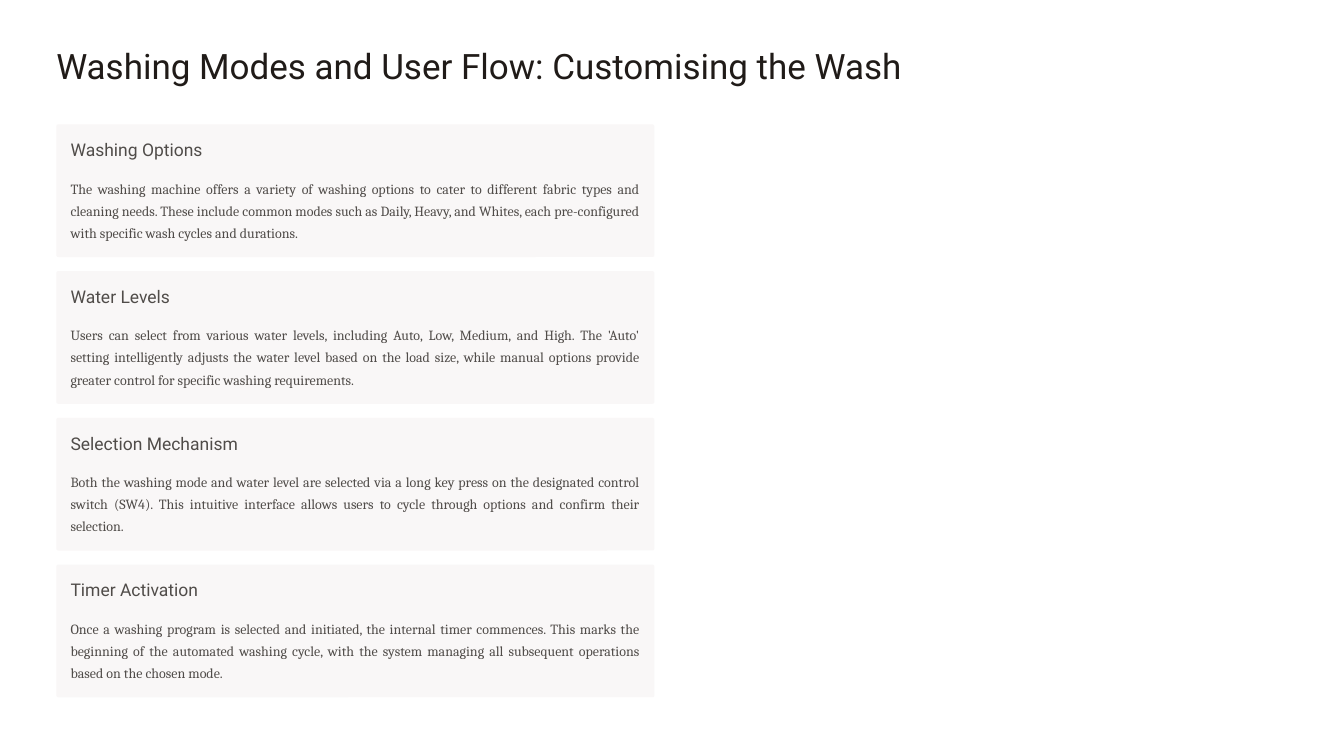
from pptx import Presentation
from pptx.dml.color import RGBColor
from pptx.enum.shapes import MSO_SHAPE
from pptx.enum.text import PP_ALIGN
from pptx.util import Inches, Pt

TITLE = "Washing Modes and User Flow: Customising the Wash"
CARDS = [
    ("Washing Options",
     "The washing machine offers a variety of washing options to cater to different fabric types "
     "and cleaning needs. These include common modes such as Daily, Heavy, and Whites, each "
     "pre-configured with specific wash cycles and durations."),
    ("Water Levels",
     "Users can select from various water levels, including Auto, Low, Medium, and High. The 'Auto' "
     "setting intelligently adjusts the water level based on the load size, while manual options "
     "provide greater control for specific washing requirements."),
    ("Selection Mechanism",
     "Both the washing mode and water level are selected via a long key press on the designated "
     "control switch (SW4). This intuitive interface allows users to cycle through options and "
     "confirm their selection."),
    ("Timer Activation",
     "Once a washing program is selected and initiated, the internal timer commences. This marks "
     "the beginning of the automated washing cycle, with the system managing all subsequent "
     "operations based on the chosen mode."),
]

# Font, size, line spacing, colour
TITLE_STYLE = ("Roboto", 30, 37.5, "201B18")
HEADING_STYLE = ("Roboto", 15, 18.5, "504C49")
BODY_STYLE = ("Cambria", 12, 19, "504C49")
CARD_FILL = "F9F7F7"

SLIDE_WIDTH, SLIDE_HEIGHT = 16, 9
MARGIN = 0.67
CARD_TOP, CARD_WIDTH, CARD_HEIGHT = 1.48, 7.12, 1.58
CARD_STEP = 1.747
PADDING = 0.17
HEADING_WIDTH, HEADING_HEIGHT = 2.21, 0.26
BODY_OFFSET, BODY_HEIGHT = 0.6, 0.81


def color(hex_string):
    return RGBColor.from_string(hex_string)


def add_text(slide, text, left, top, width, height, style, justified=False):
    """Add a text box without insets; only justified text wraps."""
    font_name, size, line_spacing, hex_color = style
    box = slide.shapes.add_textbox(Inches(left), Inches(top), Inches(width), Inches(height))
    frame = box.text_frame
    frame.margin_left = frame.margin_right = frame.margin_top = frame.margin_bottom = 0
    frame.word_wrap = justified
    frame.text = text
    paragraph = frame.paragraphs[0]
    paragraph.alignment = PP_ALIGN.JUSTIFY if justified else PP_ALIGN.LEFT
    paragraph.line_spacing = Pt(line_spacing)
    font = paragraph.runs[0].font
    font.name = font_name
    font.size = Pt(size)
    font.color.rgb = color(hex_color)


def add_card(slide, heading, body, top):
    card = slide.shapes.add_shape(MSO_SHAPE.ROUNDED_RECTANGLE, Inches(MARGIN), Inches(top),
                                  Inches(CARD_WIDTH), Inches(CARD_HEIGHT))
    card.adjustments[0] = 0.016
    card.shadow.inherit = False
    card.fill.solid()
    card.fill.fore_color.rgb = color(CARD_FILL)
    card.line.fill.background()

    text_left = MARGIN + PADDING
    add_text(slide, heading, text_left, top + PADDING, HEADING_WIDTH, HEADING_HEIGHT, HEADING_STYLE)
    add_text(slide, body, text_left, top + BODY_OFFSET, CARD_WIDTH - 2 * PADDING, BODY_HEIGHT,
             BODY_STYLE, justified=True)


def main():
    presentation = Presentation()
    presentation.slide_width = Inches(SLIDE_WIDTH)
    presentation.slide_height = Inches(SLIDE_HEIGHT)
    slide = presentation.slides.add_slide(presentation.slide_layouts[6])

    add_text(slide, TITLE, MARGIN, 0.51, 11.25, 0.53, TITLE_STYLE)
    for row, (heading, body) in enumerate(CARDS):
        add_card(slide, heading, body, CARD_TOP + row * CARD_STEP)

    presentation.save("out.pptx")


if __name__ == "__main__":
    main()
